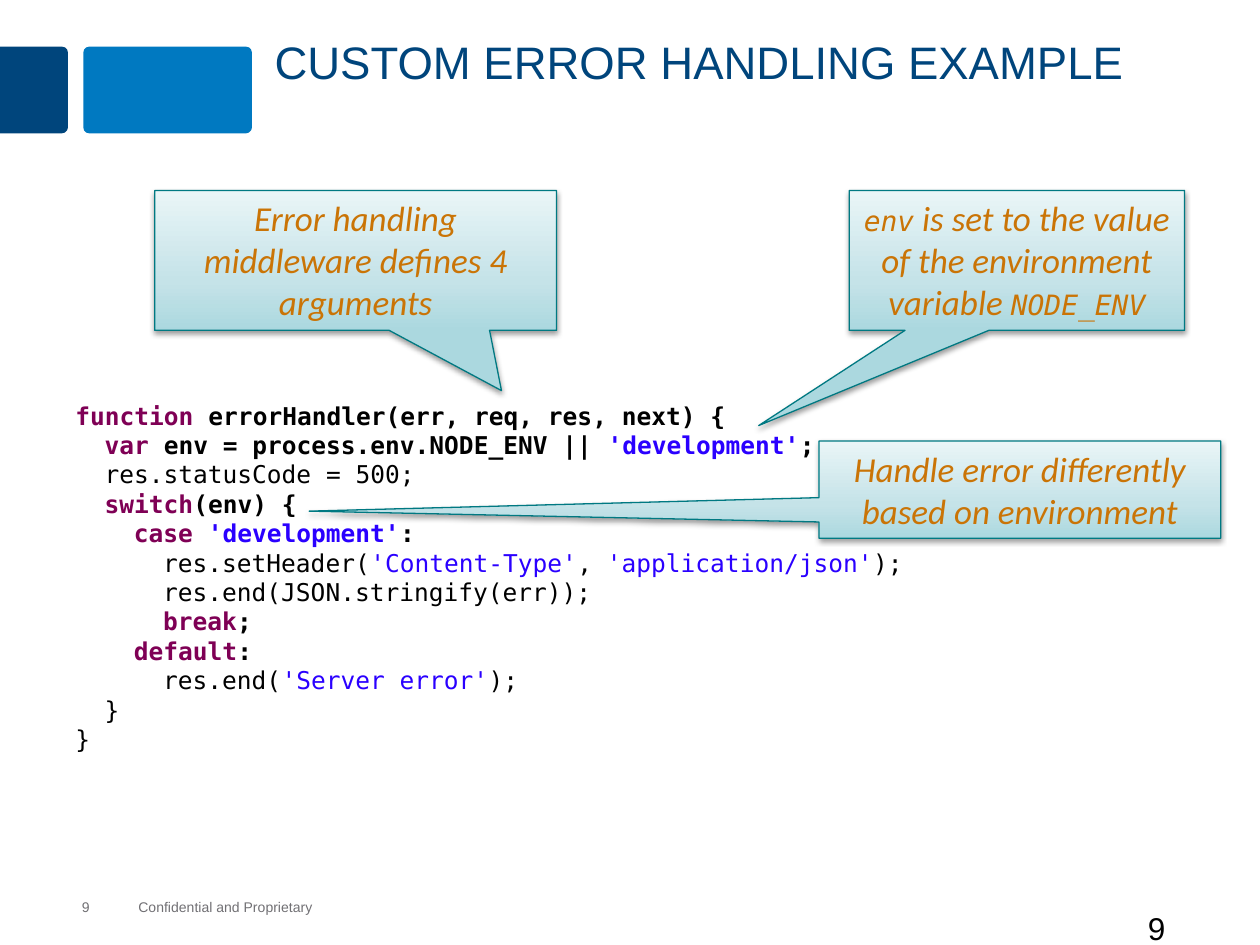
from copy import deepcopy

from lxml.etree import SubElement
from pptx import Presentation
from pptx.dml.color import RGBColor
from pptx.enum.shapes import MSO_SHAPE as Preset
from pptx.enum.text import MSO_ANCHOR as Anchor, PP_ALIGN as Align
from pptx.oxml.ns import qn
from pptx.util import Cm, Pt

NAVY = RGBColor(0x00, 0x45, 0x7C)
BLUE = RGBColor(0x00, 0x79, 0xC1)
GREY = RGBColor(0x71, 0x70, 0x74)
BLACK = RGBColor(0x00, 0x00, 0x00)
PURPLE = RGBColor(0x7F, 0x00, 0x55)
STRING_BLUE = RGBColor(0x2A, 0x00, 0xFF)
ORANGE = RGBColor(0xCA, 0x74, 0x06)
TEAL = RGBColor(0x00, 0x79, 0x82)
CALLOUT_STOPS = [
    (0, RGBColor(0xAB, 0xD8, 0xDF)),
    (0.35, RGBColor(0xC5, 0xE3, 0xE8)),
    (1, RGBColor(0xE9, 0xF5, 0xF7)),
]
MONO = "DejaVu Sans Mono"
CODE_INDENT = Cm(0.59)

# Text formats
TITLE = dict(name="Arial", size=Pt(26), color=NAVY)
FOOTER = dict(name="Arial", size=Pt(8), color=GREY)
PAGE = dict(name="Arial", size=Pt(18), color=BLACK)
PLAIN = dict(name=MONO, size=Pt(14), color=BLACK, bold=False)
STRONG = {**PLAIN, "bold": True}
KEYWORD = {**STRONG, "color": PURPLE}
STRING = {**PLAIN, "color": STRING_BLUE}
STRONG_STRING = {**STRING, "bold": True}
NOTE = dict(name="Calibri", size=Pt(20), color=ORANGE, italic=True)
NOTE_CODE = {**NOTE, "name": MONO, "size": Pt(16)}

# Each line: indent level, then runs of text and format
CODE = [
    (0, [("function ", KEYWORD), ("errorHandler(err, req, res, next) {", STRONG)]),
    (1, [("var ", KEYWORD), ("env = process.env.NODE_ENV || ", STRONG),
         ("'development'", STRONG_STRING), (";", STRONG)]),
    (1, [("res.statusCode = 500;", PLAIN)]),
    (1, [("switch", KEYWORD), ("(env) {", STRONG)]),
    (2, [("case ", KEYWORD), ("'development'", STRONG_STRING), (":", STRONG)]),
    (3, [("res.setHeader(", PLAIN), ("'Content-Type'", STRING), (", ", PLAIN),
         ("'application/json'", STRING), (");", PLAIN)]),
    (3, [("res.end(JSON.stringify(err));", PLAIN)]),
    (3, [("break", KEYWORD), (";", STRONG)]),
    (2, [("default", KEYWORD), (":", STRONG)]),
    (3, [("res.end(", PLAIN), ("'Server error'", STRING), (");", PLAIN)]),
    (1, [("}", PLAIN)]),
    (0, [("}", PLAIN)]),
]

# Box, pointer adjustments, runs
CALLOUTS = [
    ((3.12, 3.84, 8.1, 2.82), (0.363, 0.931),
     [("Error handling middleware defines 4 arguments", NOTE)]),
    ((17.12, 3.84, 6.76, 2.82), (-0.77, 1.181),
     [("env", NOTE_CODE), (" is set to the value of the environment variable ", NOTE),
      ("NODE_ENV", NOTE_CODE)]),
    ((16.51, 8.89, 8.1, 1.96), (-1.769, 0.222),
     [("Handle error differently based on environment", NOTE)]),
]


def lengths(box):
    return [Cm(value) for value in box]


def add_runs(paragraph, runs):
    for text, text_format in runs:
        run = paragraph.add_run()
        run.text = text
        for key, value in text_format.items():
            if key == "color":
                run.font.color.rgb = value
            else:
                setattr(run.font, key, value)


def add_shape(slide, preset, box, adjustments):
    shape = slide.shapes.add_shape(preset, *lengths(box))
    shape.shadow.inherit = False
    for index, value in enumerate(adjustments):
        shape.adjustments[index] = value
    return shape


def add_label(slide, box, text, text_format, tight=False):
    label = slide.shapes.add_textbox(*lengths(box))
    frame = label.text_frame
    frame.word_wrap = True
    if tight:
        frame.vertical_anchor = Anchor.MIDDLE
        for side in ("left", "top", "right", "bottom"):
            setattr(frame, f"margin_{side}", 0)
    add_runs(frame.paragraphs[0], [(text, text_format)])


def add_header(slide, box):
    left, top, width, height = box
    # The navy tab is turned a quarter, so its frame is centred on its visible box
    tab_width = 1.37
    tab_box = ((tab_width - height) / 2, top + (height - tab_width) / 2, height, tab_width)
    tab = add_shape(slide, Preset.ROUND_2_SAME_RECTANGLE, tab_box, (0.09, 0))
    tab.rotation = 90
    block = add_shape(slide, Preset.ROUNDED_RECTANGLE, (left + 1.68, top, 3.4, height), (0.07,))
    for shape, color in ((tab, NAVY), (block, BLUE)):
        shape.fill.solid()
        shape.fill.fore_color.rgb = color
        shape.line.fill.background()

    title = slide.shapes.title
    title.left, title.top, title.width, title.height = lengths(
        (left + 5.28, top - 0.3, width - 5.92, 2.31))
    title.text_frame.vertical_anchor = Anchor.TOP
    paragraph = title.text_frame.paragraphs[0]
    paragraph.alignment = Align.LEFT
    paragraph.line_spacing = 0.95
    add_runs(paragraph, [("CUSTOM ERROR HANDLING EXAMPLE", TITLE)])


def add_code(slide, box):
    frame = slide.shapes.add_textbox(*lengths(box)).text_frame
    frame.word_wrap = True
    for index, (level, runs) in enumerate(CODE):
        paragraph = frame.add_paragraph() if index else frame.paragraphs[0]
        properties = paragraph._p.get_or_add_pPr()
        properties.set("marL", str(level * CODE_INDENT))
        properties.set("indent", "0")
        add_runs(paragraph, runs)


def add_callout(slide, box, pointer, runs):
    callout = add_shape(slide, Preset.RECTANGULAR_CALLOUT, box, pointer)
    callout.line.color.rgb = TEAL
    callout.line.width = Pt(0.75)

    # Three-stop gradient, dark at the bottom
    callout.fill.gradient()
    callout.fill.gradient_angle = 90
    stop_list = callout._element.spPr.find(qn("a:gradFill")).find(qn("a:gsLst"))
    stop_list.append(deepcopy(stop_list[0]))
    for stop, (position, color) in zip(callout.fill.gradient_stops, CALLOUT_STOPS):
        stop.position = position
        stop.color.rgb = color

    # Soft shadow below
    effects = callout._element.spPr.find(qn("a:effectLst"))
    shadow = SubElement(effects, qn("a:outerShdw"), blurRad=str(Pt(3.1)),
                        dist=str(Pt(1.6)), dir="5400000", rotWithShape="0")
    color = SubElement(shadow, qn("a:srgbClr"), val=str(BLACK))
    SubElement(color, qn("a:alpha"), val="38000")

    frame = callout.text_frame
    frame.word_wrap = True
    frame.vertical_anchor = Anchor.TOP
    frame.paragraphs[0].alignment = Align.CENTER
    add_runs(frame.paragraphs[0], runs)


def add_footer(slide, box):
    left, top, width, height = box
    add_label(slide, (left, top, 1.1, height), "9", FOOTER, tight=True)
    add_label(slide, (left + 1.14, top, 4.5, height), "Confidential and Proprietary",
              FOOTER, tight=True)
    add_label(slide, (left + width - 2.51, top + 0.1, 2.51, 1.27), "9", PAGE)


presentation = Presentation()
presentation.slide_width, presentation.slide_height = Cm(25.4), Cm(19.05)
slide = presentation.slides.add_slide(presentation.slide_layouts[5])
add_header(slide, (0, 0.94, 25.4, 1.75))
add_footer(slide, (1.65, 18.11, 23.75, 0.33))
add_code(slide, (1.27, 7.95, 22.91, 7.44))
for callout_box, pointer, runs in CALLOUTS:
    add_callout(slide, callout_box, pointer, runs)
presentation.save("out.pptx")
